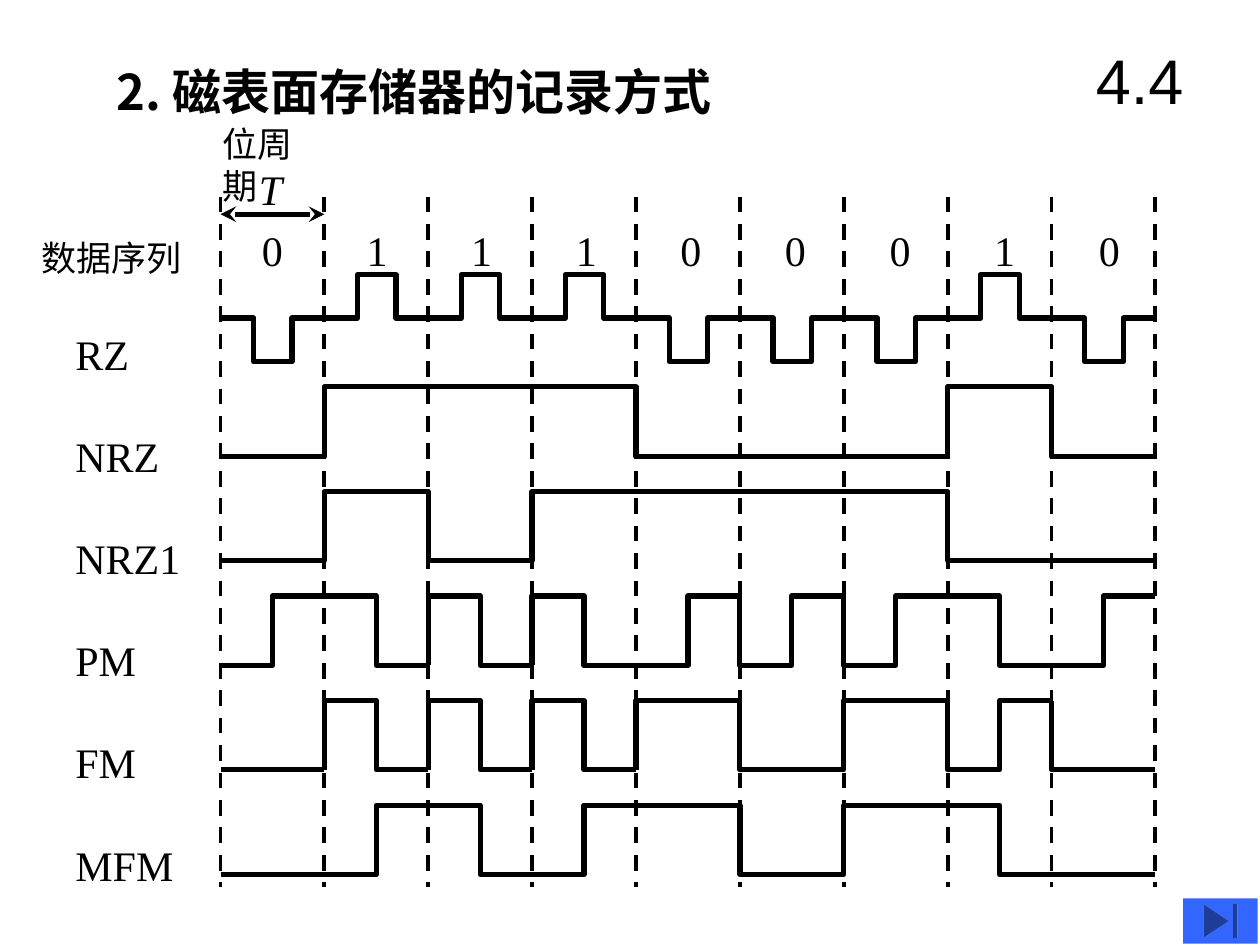
from dataclasses import dataclass
from itertools import groupby

from lxml.etree import SubElement
from pptx import Presentation
from pptx.dml.color import RGBColor
from pptx.enum.dml import MSO_LINE
from pptx.enum.shapes import MSO_CONNECTOR, MSO_SHAPE
from pptx.enum.text import MSO_ANCHOR, PP_ALIGN
from pptx.oxml.ns import qn
from pptx.util import Inches, Pt


@dataclass(frozen=True)
class Theme:
    """Colours, fonts, type sizes and line widths."""
    ink: RGBColor = RGBColor(0, 0, 0)
    key: RGBColor = RGBColor(0x33, 0x66, 0xFF)
    serif: str = "Times New Roman"
    sans: str = "Arial"
    han: str = "Noto Sans CJK SC"
    page: Pt = Pt(36)
    head: Pt = Pt(28)
    label: Pt = Pt(24)
    small: Pt = Pt(20)
    wave: Pt = Pt(3)
    rule: Pt = Pt(2.25)


@dataclass(frozen=True)
class Box:
    """A region in inches, cut into columns."""
    left: float
    top: float
    width: float
    height: float
    cols: int = 1

    def x(self, col):
        """Give the position of a column edge."""
        return self.left + col * self.width / self.cols

    def y(self, share):
        """Give the position at a share of the height."""
        return self.top + share * self.height


THEME = Theme()
BITS = "011100010"
CODES = {
    "NRZ": "001111110000001100",
    "NRZ1": "001100111111110000",
    "PM": "01 10 10 10 01 01 01 10 01",
    "FM": "00 10 10 10 110011 01 00",
    "MFM": "00 01 10 01 110 01 11000",
}


def apply(item, **values):
    """Set each named attribute on an object."""
    for name, value in values.items():
        setattr(item, name, value)


def write(frame, text, size, face=THEME.serif, **looks):
    """Write one formatted paragraph into a text frame."""
    frame.text = text
    run = frame.paragraphs[0].runs[0]
    apply(run.font, size=size, name=face, **looks)
    run.font.color.rgb = THEME.ink
    SubElement(run.font._element, qn("a:ea")).set("typeface", THEME.han)


def label(slide, box, text, size=THEME.label, **looks):
    """Add a text box that keeps its text on one line."""
    shape = slide.shapes.add_textbox(
        *map(Inches, (box.left, box.top, box.width, box.height)))
    shape.text_frame.word_wrap = False
    write(shape.text_frame, text, size, **looks)


def stroke(slide, points, width=THEME.wave):
    """Draw a straight connector or an open stepped outline."""
    spots = [(Inches(x), Inches(y)) for x, y in points]
    if len(spots) == 2:
        shape = slide.shapes.add_connector(
            MSO_CONNECTOR.STRAIGHT, *spots[0], *spots[1])
    else:
        maker = slide.shapes.build_freeform(*spots[0])
        maker.add_line_segments(spots[1:], close=False)
        shape = maker.convert_to_shape()
        shape.fill.background()
    apply(shape.line, width=width)
    shape.line.color.rgb = THEME.ink
    if len(spots) == 2:
        SubElement(shape._element.spPr, qn("a:effectLst"))
    else:
        shape.shadow.inherit = False
    return shape


def header(slide, box):
    """Place the page number title and the section heading."""
    title = slide.shapes.title
    apply(title, left=Inches(box.x(8.42)), top=Inches(box.y(0.17)),
          width=Inches(1.25), height=Inches(0.92))
    title.text_frame.vertical_anchor = MSO_ANCHOR.MIDDLE
    write(title.text_frame, "4.4", THEME.page, THEME.sans)
    title.text_frame.paragraphs[0].alignment = PP_ALIGN.CENTER
    label(slide, Box(box.x(0.83), box.y(0.44), 5.43, 0.57),
          "2. 磁表面存储器的记录方式", THEME.head, face=THEME.han, bold=True)


def grid(slide, box):
    """Draw the dashed bit limits, the period arrow and the data bits."""
    for col in range(box.cols + 1):
        line = stroke(slide, [(box.x(col), box.y(0)), (box.x(col), box.y(1))],
                      THEME.rule)
        line.line.dash_style = MSO_LINE.DASH
    level = box.top + 0.14
    arrow = stroke(slide, [(box.x(0), level), (box.x(1), level)])
    for end in ("a:headEnd", "a:tailEnd"):
        SubElement(arrow.line._get_or_add_ln(), qn(end)).set("type", "stealth")
    label(slide, Box(box.x(0) - 0.08, 0.92, 1.03, 0.44), "位周期", THEME.small)
    label(slide, Box(box.x(0.25), 1.25, 0.38, 0.5), "T", italic=True)
    label(slide, Box(0.23, 1.83, 1.31, 0.44), "数据序列", THEME.small)
    for col, bit in enumerate(BITS):
        label(slide, Box(box.x(0.28 + 1.007 * col), 1.73, 0.36, 0.5), bit)


def pulses(slide, box):
    """Draw one return-to-zero pulse for each bit."""
    for col, bit in enumerate(BITS):
        mid, peak = box.y(0.5), box.y(1 - int(bit))
        rise, fall = box.x(col + 0.32), box.x(col + 0.69)
        stroke(slide, [(box.x(col), mid), (rise, mid), (rise, peak),
                       (fall, peak), (fall, mid), (box.x(col + 1), mid)])


def wave(slide, box, code):
    """Draw a stepped wave from its half-bit levels, part by part."""
    half, last = 0, code[0]
    for part in code.split():
        points = [(box.x(half), box.y(1 - int(last)))] if part[0] != last else []
        for last, run in groupby(part):
            level = box.y(1 - int(last))
            points.append((box.x(half), level))
            half += len(list(run))
            points.append((box.x(half), level))
        stroke(slide, points)


def button(slide, box):
    """Place the button that leads to the end."""
    shape = slide.shapes.add_shape(
        MSO_SHAPE.ACTION_BUTTON_END,
        *map(Inches, (box.left, box.top, box.width, box.height)))
    shape.shadow.inherit = False
    shape.fill.solid()
    shape.fill.fore_color.rgb = THEME.key
    shape.line.fill.background()


def main():
    """Build the slide and save it."""
    deck = Presentation()
    apply(deck, slide_width=Inches(10), slide_height=Inches(7.5))
    slide = deck.slides.add_slide(deck.slide_layouts[5])
    header(slide, Box(0, 0, 10, 1, 10))
    left, width = 1.75, 7.42
    grid(slide, Box(left, 1.56, width, 5.48, len(BITS)))
    pulses(slide, Box(left, 2.18, width, 0.69, len(BITS)))
    for row, code in enumerate(CODES.values()):
        wave(slide, Box(left, 3.07 + 0.83 * row, width, 0.55, 2 * len(BITS)), code)
    for row, name in enumerate(["RZ", *CODES]):
        label(slide, Box(0.5, 2.56 + 0.81 * row, 1.03, 0.5), name)
    button(slide, Box(9.39, 7.13, 0.59, 0.36))
    deck.save("out.pptx")


if __name__ == "__main__":
    main()
